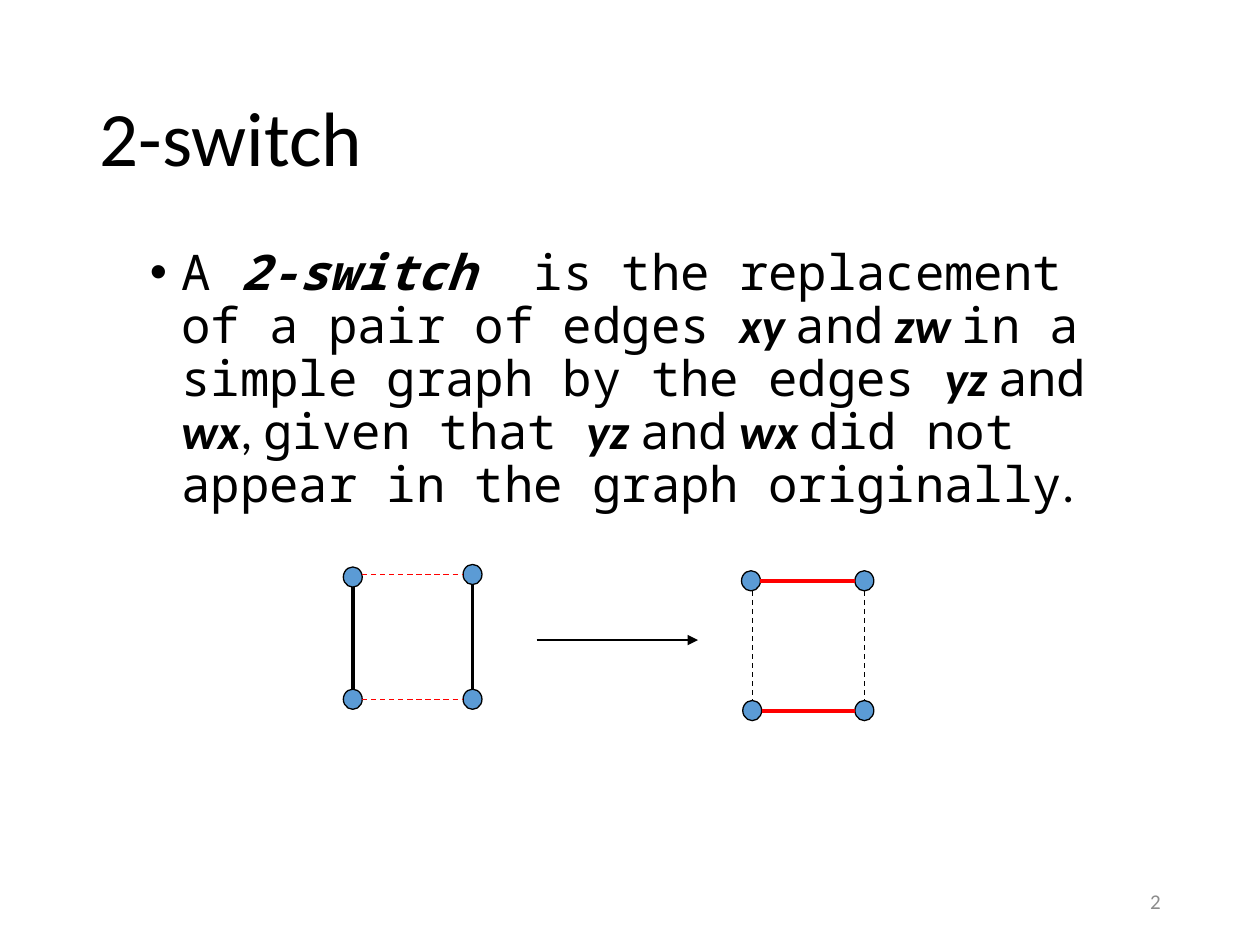
import pptx
import pptx.util
import pptx.dml.color
import pptx.enum.dml
import pptx.enum.shapes
import pptx.enum.text
import pptx.oxml.ns
from lxml import etree

Inches, Pt = pptx.util.Inches, pptx.util.Pt
PP_ALIGN, ANCHOR = pptx.enum.text.PP_ALIGN, pptx.enum.text.MSO_ANCHOR
qn = pptx.oxml.ns.qn

COLORS = {"text": "000000", "node": "5B9BD5", "red": "FF0000", "number": "8C8C8C"}
SANS, MONO = "Calibri", "Noto Sans Mono"

# Content
TITLE = "2-switch"
NUMBER = "2"
DEFINITION = [  # text, font, bold italic
    ("A ", MONO, False),
    ("2-switch", MONO, True),
    ("  is the replacement of a pair of edges ", MONO, False),
    ("xy ", SANS, True),
    ("and", MONO, False),
    (" zw ", SANS, True),
    ("in a simple graph by the edges ", MONO, False),
    ("yz ", SANS, True),
    ("and", MONO, False),
    (" wx", SANS, True),
    (", ", SANS, False),
    ("given that ", MONO, False),
    ("yz ", SANS, True),
    ("and", MONO, False),
    (" wx ", SANS, True),
    ("did not appear in the graph originally", MONO, False),
    (".", SANS, False),
]

# Node centres: top left, top right, bottom left, bottom right
NODE_W, NODE_H = 0.15, 0.16
GRAPHS = [
    {"nodes": [(2.8, 4.58), (3.75, 4.56), (2.8, 5.55), (3.75, 5.55)],
     "solid": "vertical", "vertical": "text", "horizontal": "red"},
    {"nodes": [(5.96, 4.61), (6.86, 4.61), (5.97, 5.64), (6.86, 5.64)],
     "solid": "horizontal", "vertical": "text", "horizontal": "red"},
]
EDGES = {"vertical": [(0, 2), (1, 3)], "horizontal": [(0, 1), (2, 3)]}
ARROW = (4.26, 5.08, 5.54, 5.08)


def rgb(name):
    return pptx.dml.color.RGBColor.from_string(COLORS[name])


def style(r, size, font, color="text"):
    r.font.size, r.font.name = Pt(size), font
    r.font.color.rgb = rgb(color)


def place(sp, left, top, width, height):
    sp.left, sp.top = Inches(left), Inches(top)
    sp.width, sp.height = Inches(width), Inches(height)


def add_line(s, x1, y1, x2, y2, color, width):
    line = s.shapes.add_connector(pptx.enum.shapes.MSO_CONNECTOR.STRAIGHT,
                                  Inches(x1), Inches(y1), Inches(x2), Inches(y2))
    line.line.color.rgb = rgb(color)
    line.line.width = Pt(width)
    etree.SubElement(line._element.spPr, qn("a:effectLst"))
    return line


def add_graph(s, graph):
    nodes = graph["nodes"]
    for x, y in nodes:
        sp = s.shapes.add_shape(pptx.enum.shapes.MSO_SHAPE.OVAL,
                                Inches(x - NODE_W / 2), Inches(y - NODE_H / 2),
                                Inches(NODE_W), Inches(NODE_H))
        sp.shadow.inherit = False
        sp.fill.solid()
        sp.fill.fore_color.rgb = rgb("node")
        sp.line.color.rgb = rgb("text")
        sp.line.width = Pt(0.75)
    # Edges run from rim to rim
    for direction, pairs in EDGES.items():
        dx, dy = (0, NODE_H / 2) if direction == "vertical" else (NODE_W / 2, 0)
        solid = direction == graph["solid"]
        for a, b in pairs:
            (x1, y1), (x2, y2) = nodes[a], nodes[b]
            if dy:
                x1 = x2
            else:
                y1 = y2
            line = add_line(s, x1 + dx, y1 + dy, x2 - dx, y2 - dy,
                            graph[direction], 2.25 if solid else 0.75)
            if not solid:
                line.line.dash_style = pptx.enum.dml.MSO_LINE.DASH


def main():
    prs = pptx.Presentation()
    prs.slide_width, prs.slide_height = Inches(10), Inches(7.5)
    s = prs.slides.add_slide(prs.slide_layouts[1])

    # Title
    title = s.shapes.title
    place(title, 0.69, 0.4, 8.62, 1.45)
    tf = title.text_frame
    tf.text = TITLE
    tf.vertical_anchor = ANCHOR.MIDDLE
    p = tf.paragraphs[0]
    p.alignment, p.line_spacing = PP_ALIGN.LEFT, 0.9
    style(p.runs[0], 44, SANS)

    # Definition
    body = s.placeholders[1]
    place(body, 1.09, 1.92, 7.82, 1.83)
    tf = body.text_frame
    tf.auto_size = pptx.enum.text.MSO_AUTO_SIZE.NONE
    p = tf.paragraphs[0]
    p.line_spacing, p.space_before = 0.9, Pt(0)
    pPr = p._p.get_or_add_pPr()
    pPr.set("marL", str(Inches(0.25)))
    pPr.set("indent", str(-Inches(0.25)))
    etree.SubElement(pPr, qn("a:buFont")).set("typeface", "Arial")
    etree.SubElement(pPr, qn("a:buChar")).set("char", "•")
    for text, font, strong in DEFINITION:
        r = p.add_run()
        r.text = text
        style(r, 28, font)
        r.font.bold = r.font.italic = strong

    # Graphs before and after the switch
    for graph in GRAPHS:
        add_graph(s, graph)
    arrow = add_line(s, *ARROW, "text", 0.75)
    etree.SubElement(arrow.line._get_or_add_ln(), qn("a:tailEnd")).set("type", "triangle")

    # Slide number
    box = s.shapes.add_textbox(Inches(7.06), Inches(6.95), Inches(2.25), Inches(0.4))
    tf = box.text_frame
    tf.word_wrap = True
    tf.text = NUMBER
    tf.vertical_anchor = ANCHOR.MIDDLE
    p = tf.paragraphs[0]
    p.alignment = PP_ALIGN.RIGHT
    style(p.runs[0], 12, SANS, "number")

    prs.save("out.pptx")


if __name__ == "__main__":
    main()
